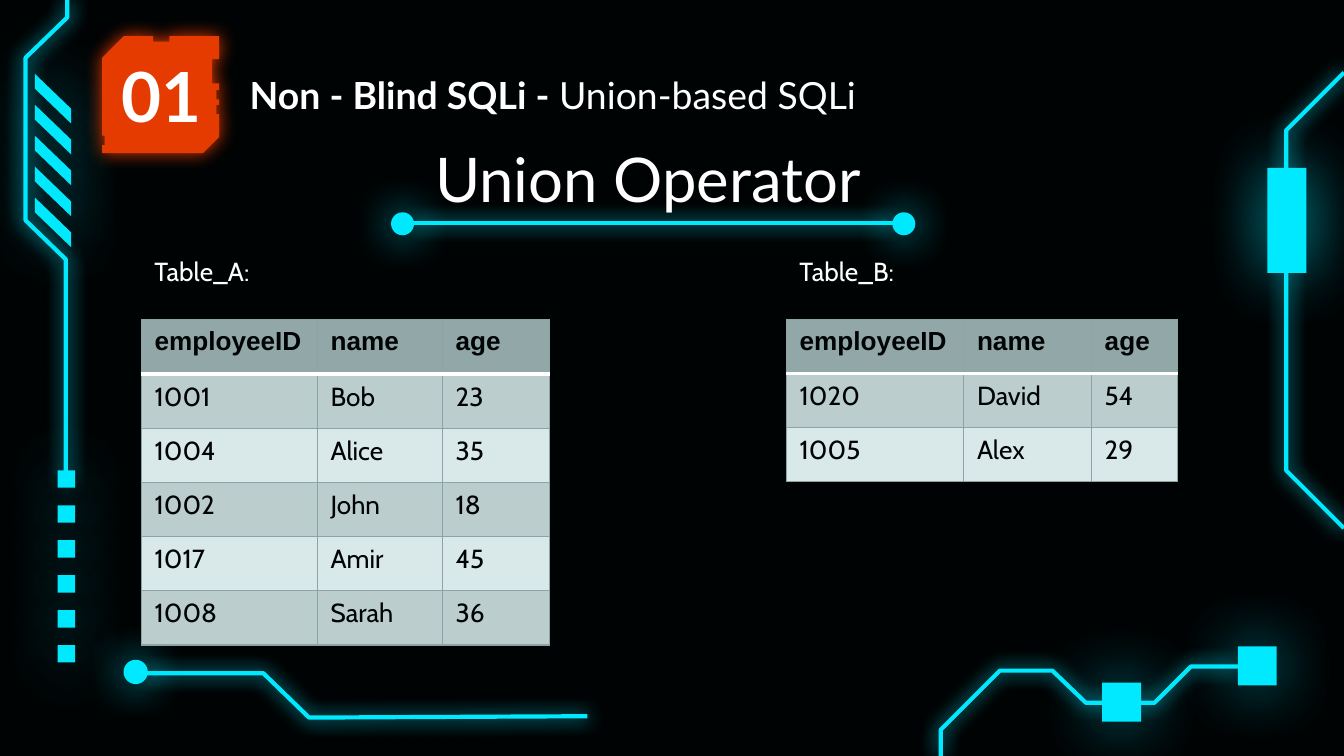
from lxml import etree
from pptx import Presentation
from pptx.dml.color import RGBColor
from pptx.enum.shapes import MSO_CONNECTOR, MSO_SHAPE
from pptx.enum.text import MSO_ANCHOR, PP_ALIGN
from pptx.oxml import parse_xml
from pptx.oxml.ns import nsdecls, qn
from pptx.util import Inches, Pt

RECTANGLE, OVAL = MSO_SHAPE.RECTANGLE, MSO_SHAPE.OVAL
STRAIGHT = MSO_CONNECTOR.STRAIGHT
TOP, MIDDLE = MSO_ANCHOR.TOP, MSO_ANCHOR.MIDDLE
LEFT, CENTER = PP_ALIGN.LEFT, PP_ALIGN.CENTER

SLIDE_WIDTH = 10
SLIDE_HEIGHT = SLIDE_WIDTH * 9 / 16

COLORS = {
    "background": "000304", "neon": "00E9FF", "badge": "E63B00",
    "white": "FFFFFF", "ink": "000304", "border": "8DA4A5",
    "header": "91A7A8", "dark_row": "BCCDCD", "light_row": "D9E8E8",
}

# Glow: opacity in percent, blur in points
SOFT_GLOW, LINE_GLOW, DOT_GLOW = (70, 36), (100, 10.1), (100, 22.5)

CIRCUITS = [
    [(0.5, 0), (0.5, 0.13), (0.19, 0.43), (0.19, 1.64), (0.49, 1.93), (0.49, 3.59)],
    [(7, SLIDE_HEIGHT), (7, 5.43), (7.44, 4.99), (7.83, 4.99), (8.08, 5.23), (8.59, 5.23),
     (8.86, 4.96), (9.21, 4.96)],
    [(10, 3.93), (9.57, 3.5), (9.57, 0.97), (10, 0.54)],
    [(4.37, 5.33), (2.3, 5.34), (1.96, 5.01), (1.06, 5.01)],
]
STRIPE = [(0.26, 0.55), (0.53, 0.81), (0.53, 0.92), (0.26, 0.66)]
STRIPE_COUNT, STRIPE_PITCH = 5, 0.23
SQUARE_COUNT, SQUARE_PITCH = 6, 0.26
BLOCKS = [(9.21, 4.81, 0.29, 0.29), (8.2, 5.08, 0.29, 0.29), (9.43, 1.25, 0.29, 0.78)]
BADGE = [
    (0.92, 0.27), (0.76, 0.43), (0.76, 1.01), (0.78, 1.01), (0.78, 1.08), (0.76, 1.08),
    (0.76, 1.14), (1.51, 1.14), (1.63, 1.02), (1.63, 0.85), (1.61, 0.85), (1.61, 0.78),
    (1.63, 0.78), (1.63, 0.74), (1.61, 0.74), (1.61, 0.67), (1.63, 0.67), (1.63, 0.62),
    (1.58, 0.62), (1.58, 0.44), (1.63, 0.44), (1.63, 0.27), (1.26, 0.27), (1.26, 0.31),
    (1.14, 0.31), (1.14, 0.27),
]
DOTS = [(0.93, 4.92, 0.16, 0.16), (2.92, 1.59, 0.15, 0.15), (6.65, 1.59, 0.15, 0.15)]
UNDERLINE = (3.07, 1.66, 6.65, 1.66)

# Box, (text, bold) runs, font, size, alignment, anchor, (top, bottom) margins
TEXTS = [
    ((0.76, 0.4, 0.88, 0.61), [("01", True)], "Lato", 37, CENTER, MIDDLE, (0.1, 0.1)),
    ((1.76, 0.54, 5.17, 0.33), [("Non - Blind SQLi - ", True), ("Union-based SQLi", False)],
     "Lato", 20, LEFT, TOP, (0, 0.1)),
    ((3.14, 1, 3.58, 0.66), [("Union Operator", False)], "Lato", 33, LEFT, TOP, (0.05, 0.05)),
    ((1.05, 1.85, 2.03, 0.34), [("Table_A:", False)], "Cabin", 14, LEFT, TOP, (0.05, 0.05)),
    ((5.85, 1.85, 2.03, 0.34), [("Table_B:", False)], "Cabin", 14, LEFT, TOP, (0.05, 0.05)),
]
HEADER = ["employeeID", "name", "age"]
TABLE_TOP = 2.38
TABLES = [
    {"left": 1.05, "height": 2.42, "widths": [1.31, 0.93, 0.8],
     "rows": [["1001", "Bob", "23"], ["1004", "Alice", "35"], ["1002", "John", "18"],
              ["1017", "Amir", "45"], ["1008", "Sarah", "36"]]},
    {"left": 5.85, "height": 1.2, "widths": [1.32, 0.95, 0.64],
     "rows": [["1020", "David", "54"], ["1005", "Alex", "29"]]},
]


def color(name):
    return RGBColor.from_string(COLORS[name])


def box(values):
    return [Inches(value) for value in values]


def add_glow(shape, name, glow):
    opacity, blur = glow
    for old in shape._element.spPr.findall(qn("a:effectLst")):
        shape._element.spPr.remove(old)
    shape._element.spPr.append(parse_xml(
        f'<a:effectLst {nsdecls("a")}><a:outerShdw blurRad="{int(Pt(blur))}" dist="0" '
        f'algn="ctr" rotWithShape="0"><a:srgbClr val="{COLORS[name]}">'
        f'<a:alpha val="{opacity * 1000}"/></a:srgbClr></a:outerShdw></a:effectLst>'))


def paint(shape, name, glow, filled=True, line_width=None):
    shape.shadow.inherit = False
    if filled:
        shape.fill.solid()
        shape.fill.fore_color.rgb = color(name)
    else:
        shape.fill.background()
    if line_width:
        shape.line.color.rgb = color(name)
        shape.line.width = Pt(line_width)
    else:
        shape.line.fill.background()
    add_glow(shape, name, glow)


def add_outline(slide, points, closed):
    start, *others = [tuple(box(point)) for point in points]
    builder = slide.shapes.build_freeform(*start)
    builder.add_line_segments(others, close=closed)
    return builder.convert_to_shape()


def style_font(font, **values):
    name = values.pop("color")
    for attribute, value in values.items():
        setattr(font, attribute, value)
    font.color.rgb = color(name)


def add_text(slide, place, runs, font_name, size, alignment, anchor, margins):
    frame = slide.shapes.add_textbox(*box(place)).text_frame
    frame.word_wrap = True
    frame.vertical_anchor = anchor
    frame.margin_top, frame.margin_bottom = box(margins)
    paragraph = frame.paragraphs[0]
    paragraph.alignment = alignment
    for text, bold in runs:
        run = paragraph.add_run()
        run.text = text
        style_font(run.font, name=font_name, size=Pt(size), bold=bold, color="white")


def add_borders(cell, row):
    properties = cell._tc.get_or_add_tcPr()
    heavy_side = {0: "lnB", 1: "lnT"}.get(row)
    for side in ("lnL", "lnR", "lnT", "lnB"):
        name, width = ("white", 2) if side == heavy_side else ("border", 0.75)
        line = etree.SubElement(properties, qn(f"a:{side}"), w=str(int(Pt(width))))
        fill = etree.SubElement(line, qn("a:solidFill"))
        etree.SubElement(fill, qn("a:srgbClr"), val=COLORS[name])


def add_data_table(slide, left, height, widths, rows):
    lines = [HEADER] + rows
    place = box((left, TABLE_TOP, sum(widths), height))
    table = slide.shapes.add_table(len(lines), len(widths), *place).table
    for column, width in zip(table.columns, widths):
        column.width = Inches(width)
    for row, values in enumerate(lines):
        fill_name = "header" if row == 0 else "dark_row" if row % 2 else "light_row"
        for column, text in enumerate(values):
            cell = table.cell(row, column)
            add_borders(cell, row)
            cell.fill.solid()
            cell.fill.fore_color.rgb = color(fill_name)
            run = cell.text_frame.paragraphs[0].add_run()
            run.text = text
            style_font(run.font, name="Cabin" if row else "Arial", size=Pt(14),
                       bold=row == 0, color="ink")


def main():
    presentation = Presentation()
    presentation.slide_width, presentation.slide_height = box((SLIDE_WIDTH, SLIDE_HEIGHT))
    slide = presentation.slides.add_slide(presentation.slide_layouts[6])
    slide.background.fill.solid()
    slide.background.fill.fore_color.rgb = color("background")

    for index in range(STRIPE_COUNT):
        points = [(x, y + index * STRIPE_PITCH) for x, y in STRIPE]
        paint(add_outline(slide, points, True), "neon", SOFT_GLOW)
    for points in CIRCUITS:
        paint(add_outline(slide, points, False), "neon", LINE_GLOW, False, 2.25)
    squares = [(0.43, 3.5 + index * SQUARE_PITCH, 0.13, 0.13) for index in range(SQUARE_COUNT)]
    for place in squares + BLOCKS:
        paint(slide.shapes.add_shape(RECTANGLE, *box(place)), "neon", SOFT_GLOW)
    paint(add_outline(slide, BADGE, True), "badge", LINE_GLOW)
    for place in DOTS:
        paint(slide.shapes.add_shape(OVAL, *box(place)), "neon", DOT_GLOW, True, 1.5)

    underline = slide.shapes.add_connector(STRAIGHT, *box(UNDERLINE))
    underline.line.color.rgb = color("neon")
    underline.line.width = Pt(2.25)
    add_glow(underline, "neon", LINE_GLOW)

    for text in TEXTS:
        add_text(slide, *text)
    for table in TABLES:
        add_data_table(slide, **table)
    presentation.save("out.pptx")


if __name__ == "__main__":
    main()
